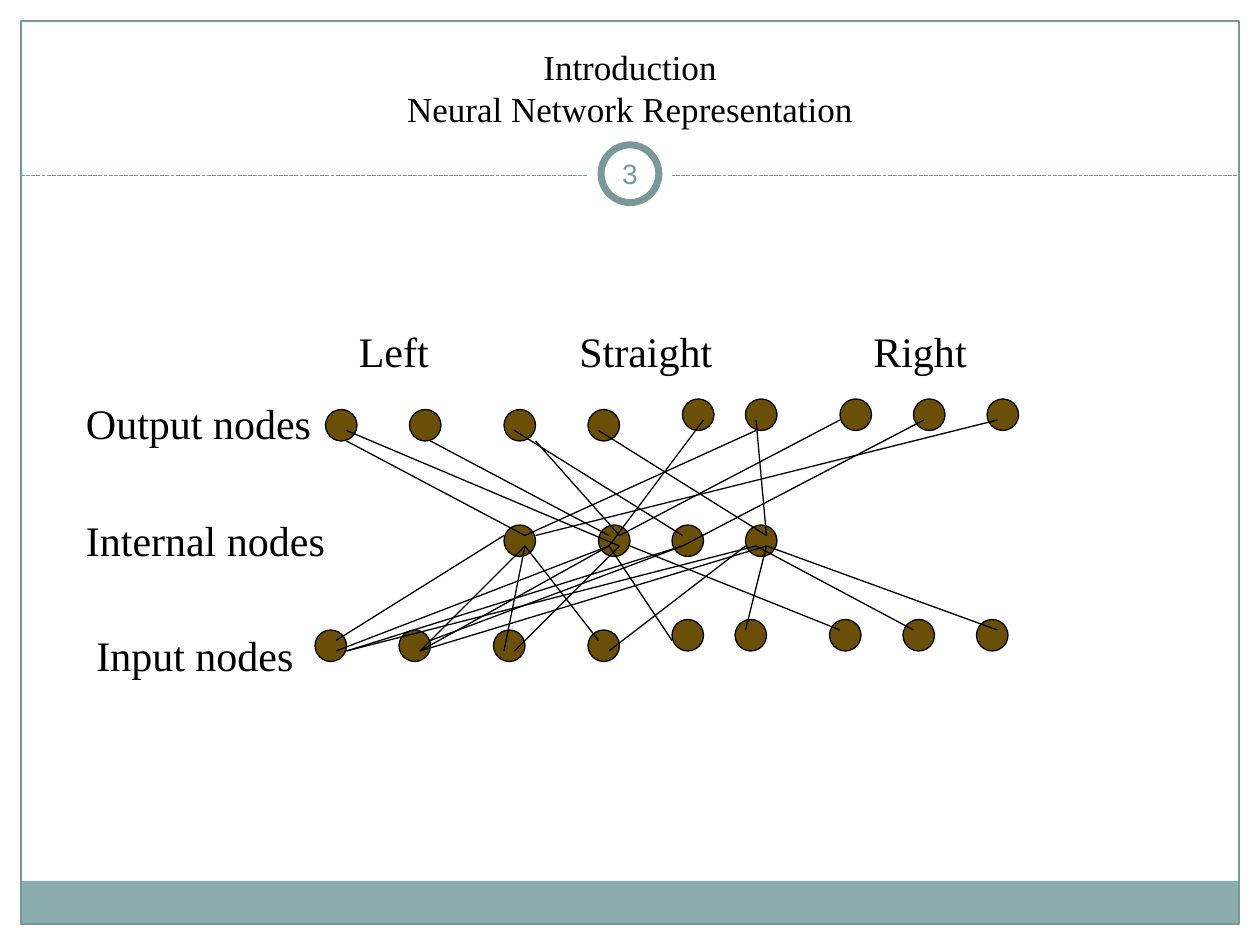
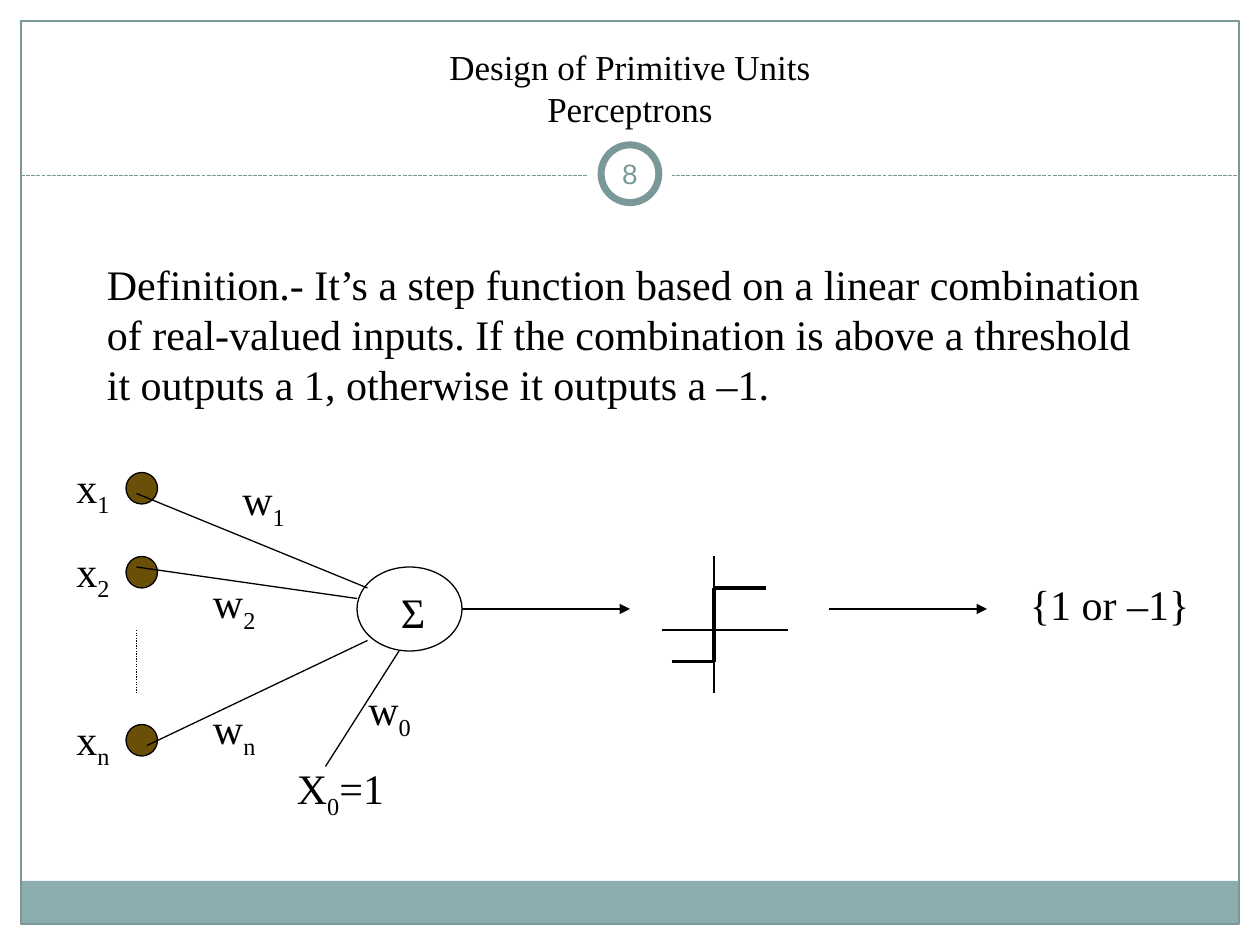
from dataclasses import dataclass

from lxml.etree import SubElement
from pptx import Presentation
from pptx.dml.color import RGBColor
from pptx.enum.dml import MSO_LINE
from pptx.enum.shapes import MSO_CONNECTOR, MSO_SHAPE
from pptx.enum.text import MSO_ANCHOR, PP_ALIGN
from pptx.oxml.ns import qn
from pptx.util import Inches, Pt

SLIDE_WIDTH, SLIDE_HEIGHT = Inches(10), Inches(7.5)
COLUMNS, ROWS = 120, 90
BLACK, WHITE, BROWN = "000000", "FFFFFF", "694F07"
BAND, ACCENT = "8CADAE", "7B9899"
SERIF, SANS = "Times New Roman", "Arial"
NODE_SIZE = 3
LABEL_ROWS = 6
LINE_SPACING = 1.2


@dataclass(frozen=True)
class Label:
    text: str
    column: float
    row: float
    columns: float
    rows: float = LABEL_ROWS


@dataclass(frozen=True)
class Line:
    start_column: float
    start_row: float
    end_column: float
    end_row: float
    width: float = 0.75
    color: str = BLACK
    dash: MSO_LINE | None = None
    arrow: bool = False


@dataclass(frozen=True)
class NodeRow:
    row: int
    columns: tuple[int, ...]


def across(columns: float) -> int:
    return round(SLIDE_WIDTH * columns / COLUMNS)


def down(rows: float) -> int:
    return round(SLIDE_HEIGHT * rows / ROWS)


def rgb(color: str) -> RGBColor:
    return RGBColor.from_string(color)


def add_text(slide, label: Label, *, size=24, font=SERIF, color=BLACK,
             align=PP_ALIGN.LEFT, anchor=MSO_ANCHOR.TOP, inset=0.1):
    box = slide.shapes.add_textbox(across(label.column), down(label.row),
                                   across(label.columns), down(label.rows))
    frame = box.text_frame
    frame.word_wrap, frame.vertical_anchor = True, anchor
    frame.margin_left = frame.margin_right = Inches(inset)
    frame.margin_top = frame.margin_bottom = Inches(0.05)
    for number, line in enumerate(label.text.split("\n")):
        paragraph = frame.add_paragraph() if number else frame.paragraphs[0]
        paragraph.alignment = align
        paragraph.line_spacing = Pt(size * LINE_SPACING)
        for part_number, part in enumerate(line.split("\v")):
            if part_number:
                paragraph.add_line_break()
            for piece_number, piece in enumerate(part.split("_")):
                if not piece:
                    continue
                run = paragraph.add_run()
                run.text = piece
                run.font.size, run.font.name = Pt(size), font
                run.font.color.rgb = rgb(color)
                if piece_number % 2:
                    run.font._element.set("baseline", "-25000")


def add_outline(slide, kind: MSO_SHAPE, column: float, row: float, columns: float,
                rows: float, *, fill: str | None = None, line: str | None = None,
                width: float = 0.75):
    shape = slide.shapes.add_shape(kind, across(column), down(row),
                                   across(columns), down(rows))
    shape.shadow.inherit = False
    if fill:
        shape.fill.solid()
        shape.fill.fore_color.rgb = rgb(fill)
    else:
        shape.fill.background()
    if line:
        shape.line.color.rgb = rgb(line)
        shape.line.width = Pt(width)
    else:
        shape.line.fill.background()


def add_line(slide, line: Line):
    connector = slide.shapes.add_connector(
        MSO_CONNECTOR.STRAIGHT, across(line.start_column), down(line.start_row),
        across(line.end_column), down(line.end_row))
    connector.line.color.rgb = rgb(line.color)
    connector.line.width = Pt(line.width)
    if line.dash:
        connector.line.dash_style = line.dash
    if line.arrow:
        SubElement(connector.line._get_or_add_ln(), qn("a:tailEnd"), type="triangle")
    SubElement(connector._element.spPr, qn("a:effectLst"))


def add_nodes(slide, node_rows: list[NodeRow]):
    for node_row in node_rows:
        for column in node_row.columns:
            add_outline(slide, MSO_SHAPE.OVAL, column, node_row.row,
                        NODE_SIZE, NODE_SIZE, fill=BROWN, line=BLACK)


def add_base_slide(presentation, title: str, number: int):
    slide = presentation.slides.add_slide(presentation.slide_layouts[6])
    add_outline(slide, MSO_SHAPE.RECTANGLE, 2, 83.9, 116, 4.1, fill=BAND)
    add_outline(slide, MSO_SHAPE.RECTANGLE, 2, 2, 116, 86, line=ACCENT)
    add_line(slide, Line(2, 16.75, 118, 16.75, color=ACCENT, dash=MSO_LINE.SQUARE_DOT))
    add_outline(slide, MSO_SHAPE.OVAL, 56, 12.6, 8, 8, fill=WHITE)
    add_outline(slide, MSO_SHAPE.OVAL, 57.25, 13.8, 5.5, 5.5,
                fill=WHITE, line=ACCENT, width=4)
    add_text(slide, Label(str(number), 57, 13.6, 6, 5.8), size=16, font=SANS,
             color=ACCENT, align=PP_ALIGN.CENTER, anchor=MSO_ANCHOR.MIDDLE, inset=0.05)
    add_text(slide, Label(title, 4, 2.9, 112, 10), size=20, align=PP_ALIGN.CENTER,
             anchor=MSO_ANCHOR.BOTTOM)
    return slide


NETWORK_NODES = [
    NodeRow(39, (31, 39, 48, 56)),
    NodeRow(38, (65, 71, 80, 87, 94)),
    NodeRow(50, (48, 57, 64, 71)),
    NodeRow(60, (30, 38, 47, 56)),
    NodeRow(59, (64, 70, 79, 86, 93)),
]
INPUT_EDGES = [
    Line(32, 61, 48, 51), Line(32, 62, 58, 52), Line(33, 62, 65, 52),
    Line(33, 62, 72, 52), Line(40, 62, 50, 52), Line(40, 62, 58, 52),
    Line(41, 61, 65, 52), Line(40, 62, 73, 52), Line(48, 62, 50, 52),
    Line(49, 62, 59, 52), Line(57, 61, 50, 52), Line(58, 62, 71, 52),
    Line(64, 61, 58, 52), Line(80, 60, 60, 52), Line(87, 60, 72, 52),
    Line(95, 60, 73, 52), Line(71, 60, 73, 52),
]
OUTPUT_EDGES = [
    Line(50, 51, 33, 42), Line(51, 51, 95, 40), Line(50, 51, 72, 41),
    Line(58, 51, 41, 42), Line(58, 52, 67, 40), Line(59, 51, 51, 42),
    Line(59, 51, 80, 40), Line(65, 52, 88, 40), Line(73, 51, 72, 40),
    Line(73, 51, 57, 41), Line(65, 51, 49, 41), Line(33, 41, 59, 52),
]
NETWORK_LABELS = [
    Label("Input nodes", 8, 59.4, 23),
    Label("Internal nodes", 7, 48.4, 27),
    Label("Output nodes", 7, 37.3, 26),
    Label("Left", 33, 30.4, 12),
    Label("Straight", 54, 30.4, 17),
    Label("Right", 82, 30.4, 13),
]

PERCEPTRON_NODES = [NodeRow(row, (12,)) for row in (45, 53, 69)]
WEIGHT_LINES = [
    Line(13, 47, 35, 56), Line(13, 54, 34, 57),
    Line(14, 71, 35, 61), Line(31, 73, 38, 62),
    Line(13, 60, 13, 66, dash=MSO_LINE.ROUND_DOT),
]
FLOW_ARROWS = [Line(44, 58, 60, 58, arrow=True), Line(79, 58, 94, 58, arrow=True)]
STEP_AXES = [Line(68, 53, 68, 66), Line(63, 60, 75, 60)]
STEP_CURVE = [
    Line(64, 63, 68, 63, width=2.25),
    Line(68, 63, 68, 56, width=2.25),
    Line(68, 56, 73, 56, width=2.25),
]
DEFINITION = Label(
    "Definition.- It’s a step function based on a linear combination\n"
    "of real-valued inputs. If the combination is above a threshold\n"
    "it outputs a 1, otherwise it outputs a –1.", 9, 24, 105, 15.6)
PERCEPTRON_LABELS = [
    DEFINITION,
    Label("x_1", 6.1, 44, 7),
    Label("x_2", 6.1, 52, 7),
    Label("x_n", 6.1, 68, 7),
    Label("w_1", 21.9, 45.2, 8),
    Label("w_2", 19.1, 55, 8),
    Label("w_n", 19.1, 67, 8),
    Label("w_0", 33.9, 65.2, 8),
    Label("X_0_=1", 27.1, 72.7, 13),
    Label("Σ", 37, 55.3, 6),
    Label("{1 or –1}", 96.9, 54.5, 20),
]


def add_diagram(slide, nodes: list[NodeRow], lines: list[Line], labels: list[Label]):
    add_nodes(slide, nodes)
    for line in lines:
        add_line(slide, line)
    for label in labels:
        add_text(slide, label)


def main():
    presentation = Presentation()
    presentation.slide_width, presentation.slide_height = SLIDE_WIDTH, SLIDE_HEIGHT
    network = add_base_slide(
        presentation, "Introduction\vNeural Network Representation", 3)
    add_diagram(network, NETWORK_NODES, INPUT_EDGES + OUTPUT_EDGES, NETWORK_LABELS)
    perceptron = add_base_slide(
        presentation, "Design of Primitive Units\vPerceptrons", 8)
    add_outline(perceptron, MSO_SHAPE.OVAL, 34, 54, 10, 8, line=BLACK)
    add_diagram(perceptron, PERCEPTRON_NODES,
                WEIGHT_LINES + FLOW_ARROWS + STEP_AXES + STEP_CURVE, PERCEPTRON_LABELS)
    presentation.save("out.pptx")


if __name__ == "__main__":
    main()
